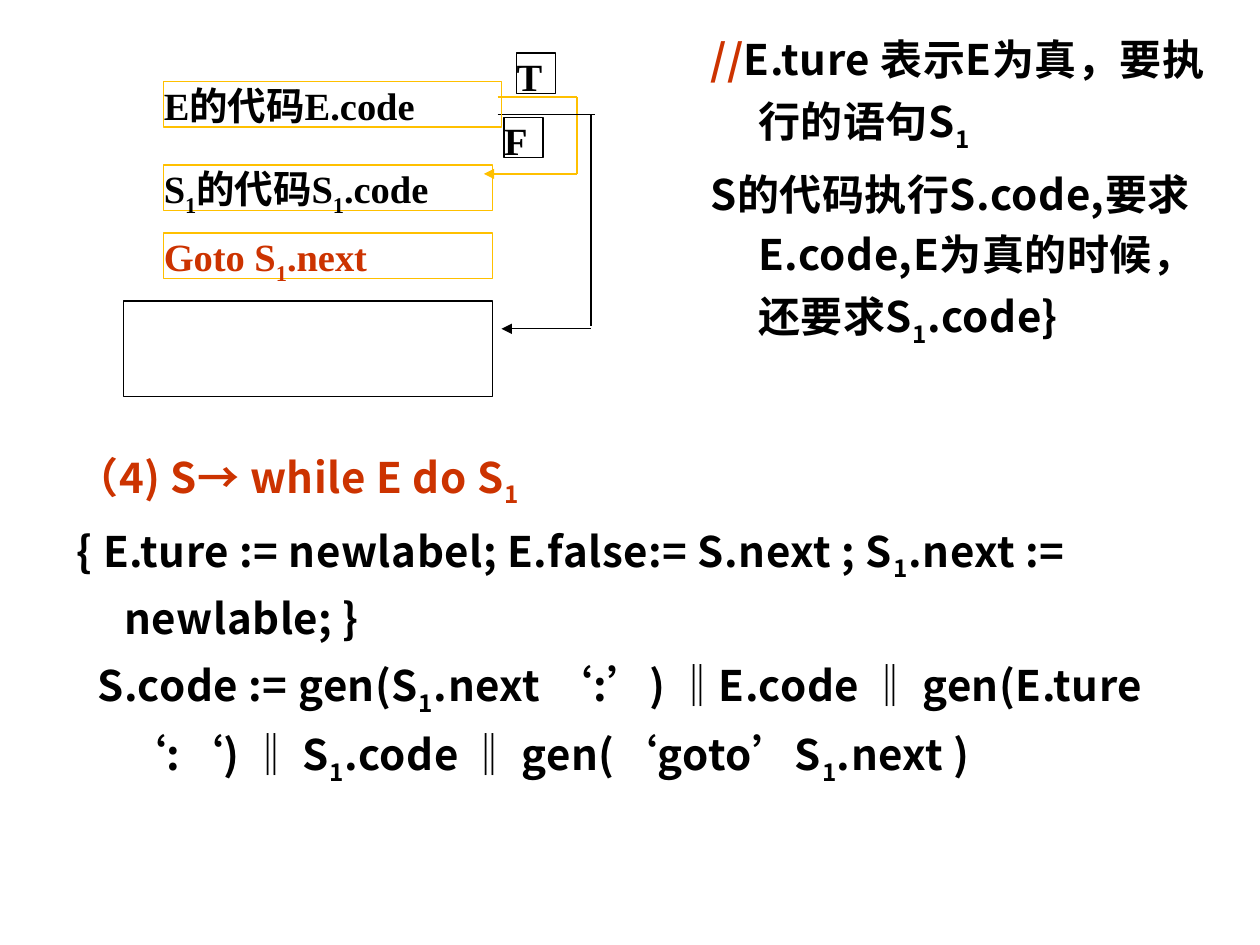
"""Builds a slide on the code layout and translation rule of a while statement."""
import pptx
import pptx.util
import pptx.dml.color
import pptx.enum.shapes
import pptx.enum.text
import pptx.oxml.ns
from lxml import etree

Pt = pptx.util.Pt
COLORS = {"black": "000000", "red": "CC3300", "amber": "FFC000"}
SANS, SERIF = "Noto Sans CJK SC", "Times New Roman"
SUB = "sub"

RULE = [
    (-27.36, [("（4) S→ while E do S", "red"), ("1", "red", SUB)]),
    (-27.36, [("{ E.ture := newlabel; E.false:= S.next ; S", "black"), ("1", "black", SUB),
              (".next := newlable; }", "black")]),
    (-15.36, [("S.code := gen(S", "black"), ("1", "black", SUB),
              (".next ‘:’) ‖E.code ‖ gen(E.ture ‘:‘) ‖ S", "black"), ("1", "black", SUB),
              (".code ‖ gen(‘goto’S", "black"), ("1", "black", SUB), (".next )", "black")]),
]
NOTES = [
    (-27.36, [("//", "red"), ("E.ture 表示E为真，要执行的语句S", "black"), ("1", "black", SUB)]),
    (-27.36, [("S的代码执行S.code,要求E.code,E为真的时候，还要求S", "black"), ("1", "black", SUB),
              (".code}", "black")]),
]
TEXTS = [((36.72, 247.68, 642.96, 272.16), RULE), ((398.88, 10.08, 307.44, 272.16), NOTES)]
BOXES = [
    ((93.6, 46.8, 192.96, 25.92), "amber", [("E的代码E.code", "black")]),
    ((93.6, 94.32, 187.92, 25.92), "amber",
     [("S", "black"), ("1", "black", SUB), ("的代码S", "black"), ("1", "black", SUB), (".code", "black")]),
    ((93.6, 133.2, 187.92, 25.92), "amber",
     [("Goto S", "red"), ("1", "red", SUB), (".next", "red")]),
    ((70.56, 172.08, 210.96, 54.72), "black", []),
    ((295.2, 30.24, 22.32, 23.04), "black", [("T", "black")]),
    ((288, 66.96, 22.32, 23.04), "black", [("F", "black")]),
]
LINES = [
    ((284.4, 55.44, 329.76, 55.44), "amber", False),
    ((329.76, 55.44, 329.76, 99.36), "amber", False),
    ((329.76, 99.36, 276.48, 99.36), "amber", True),
    ((284.4, 65.52, 339.84, 65.52), "black", False),
    ((337.68, 65.52, 337.68, 186.48), "black", False),
    ((337.68, 187.92, 286.56, 187.92), "black", True),
]


def rgb(name):
    return pptx.dml.color.RGBColor.from_string(COLORS[name])


def points(values):
    return [Pt(v) for v in values]


def assign(obj, values):
    for name, value in values.items():
        setattr(obj, name, value)


def add_runs(p, runs, font, size, spacing=None):
    for text, color, *sub in runs:
        r = p.add_run()
        r.text = text
        assign(r.font, {"name": font, "size": Pt(size), "bold": True})
        r.font.color.rgb = rgb(color)
        rpr = r.font._element
        if sub:
            rpr.set("baseline", "-25000")
        if spacing:
            rpr.set("spc", str(spacing))
        ea = etree.SubElement(rpr, pptx.oxml.ns.qn("a:ea"))
        ea.set("typeface", SANS)


def add_text(slide, at, paragraphs):
    tf = slide.shapes.add_textbox(*points(at)).text_frame
    tf.word_wrap = True
    for i, (indent, runs) in enumerate(paragraphs):
        p = tf.add_paragraph() if i else tf.paragraphs[0]
        assign(p, {"line_spacing": 1.2, "space_after": Pt(3)})
        ppr = p._p.get_or_add_pPr()
        ppr.set("marL", str(Pt(27.36)))
        ppr.set("indent", str(Pt(indent)))
        add_runs(p, runs, SANS, 24, 30)


def add_box(slide, at, color, runs):
    sp = slide.shapes.add_shape(pptx.enum.shapes.MSO_SHAPE.RECTANGLE, *points(at))
    sp.shadow.inherit = False
    sp.fill.background()
    sp.line.color.rgb = rgb(color)
    sp.line.width = Pt(0.75)
    if runs:
        tf = sp.text_frame
        assign(tf, {"margin_left": 0, "margin_top": 0, "margin_right": 0, "margin_bottom": 0,
                    "word_wrap": True, "vertical_anchor": pptx.enum.text.MSO_ANCHOR.TOP})
        p = tf.paragraphs[0]
        p.alignment = pptx.enum.text.PP_ALIGN.JUSTIFY
        add_runs(p, runs, SERIF, 22)


def add_line(slide, ends, color, arrow):
    line = slide.shapes.add_connector(pptx.enum.shapes.MSO_CONNECTOR.STRAIGHT, *points(ends))
    line.line.color.rgb = rgb(color)
    line.line.width = Pt(0.75)
    if arrow:
        tail = etree.SubElement(line.line._get_or_add_ln(), pptx.oxml.ns.qn("a:tailEnd"))
        tail.set("type", "triangle")
    etree.SubElement(line._element.spPr, pptx.oxml.ns.qn("a:effectLst"))


def main():
    prs = pptx.Presentation()
    assign(prs, {"slide_width": Pt(720), "slide_height": Pt(540)})
    slide = prs.slides.add_slide(prs.slide_layouts[6])
    for args in TEXTS:
        add_text(slide, *args)
    for args in LINES:
        add_line(slide, *args)
    for args in BOXES:
        add_box(slide, *args)
    prs.save("out.pptx")


if __name__ == "__main__":
    main()
